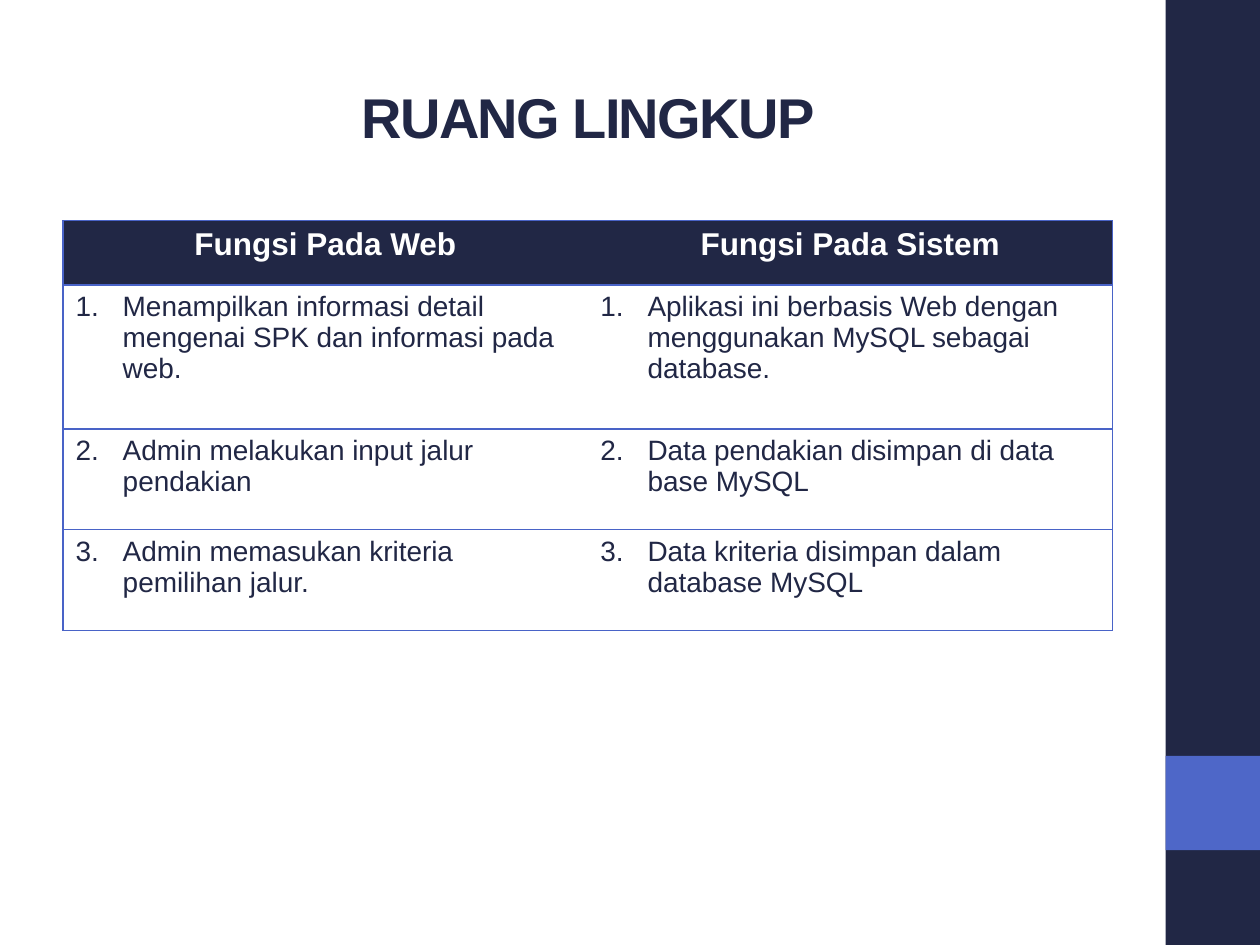
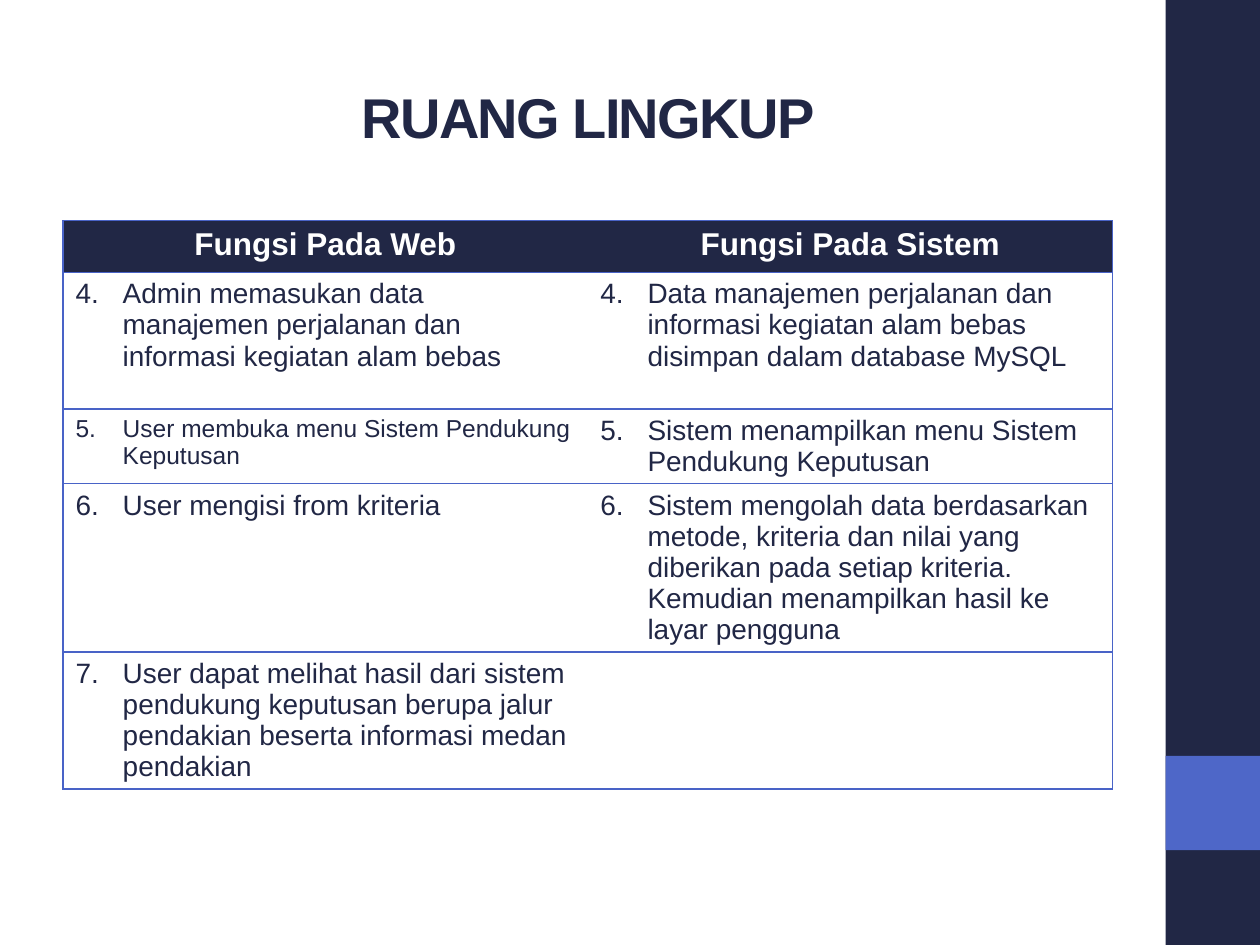
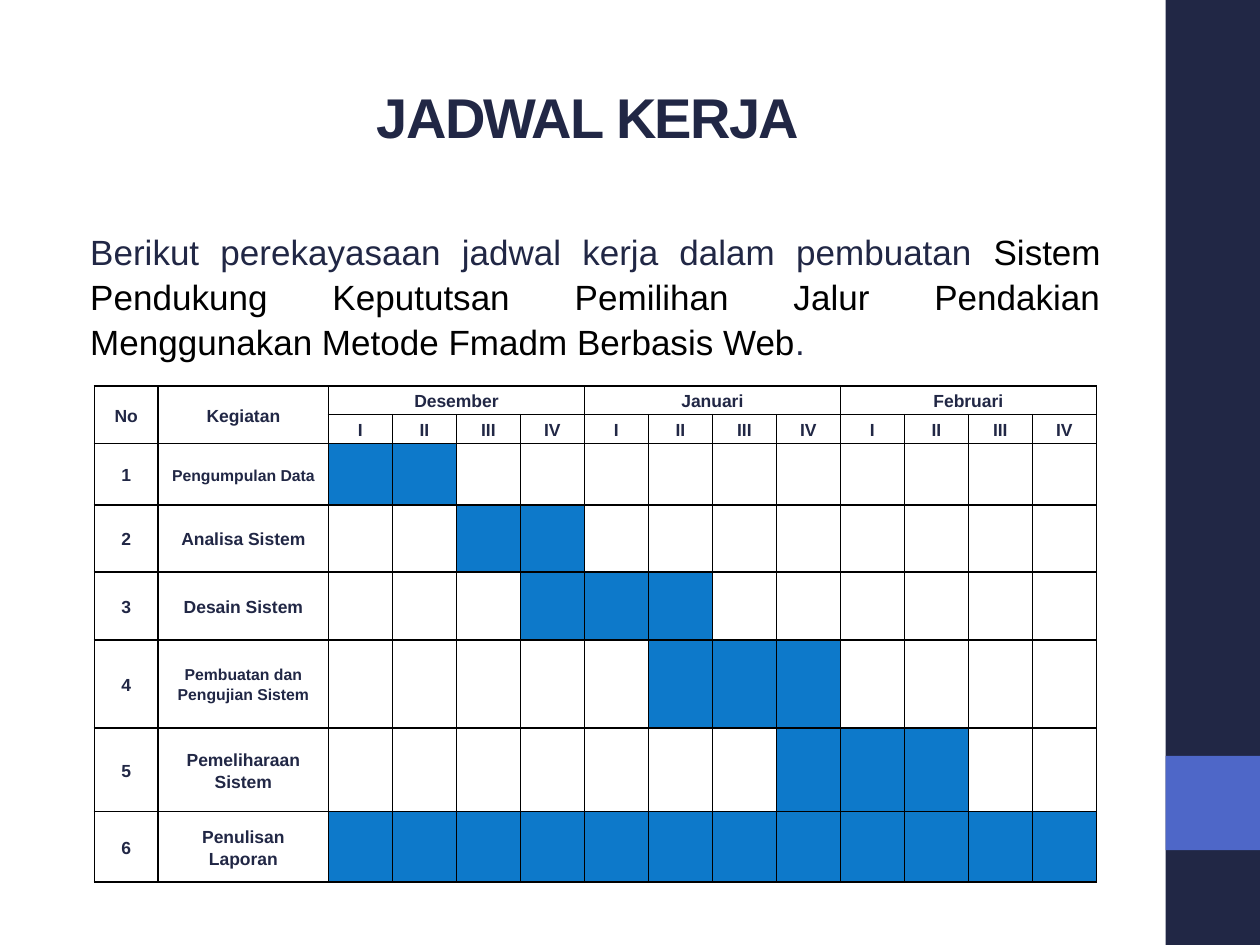
"""Builds three slides: two scope tables and a work schedule."""
from lxml import etree
from pptx import Presentation
from pptx.dml.color import RGBColor as RGB
from pptx.enum.shapes import MSO_SHAPE as SHAPE
from pptx.enum.text import MSO_ANCHOR as ANCHOR, PP_ALIGN as ALIGN
from pptx.oxml.ns import qn
from pptx.util import Cm, Pt

COLORS = {"navy": "212745", "blue": "4E67C8", "rule": "4963C7", "bar": "0D79CA",
          "white": "FFFFFF", "black": "000000"}
C = {name: RGB.from_string(value) for name, value in COLORS.items()}
FONT = "Arial"
PLAIN_STYLE = "{2D5ABB26-0587-4C30-8999-92F81FD0307C}"
INDENT = Cm(0.95)


def format_text(p, size, color, bold=False):
    """Give every run of a paragraph the same font."""
    for r in p.runs:
        r.font.name, r.font.size, r.font.bold = FONT, Pt(size), bold
        r.font.color.rgb = C[color]


def add_grid(s, left, top, widths, heights, rule, inner):
    """Add a plain table with ruled cells and return it."""
    frame = s.shapes.add_table(len(heights), len(widths), Cm(left), Cm(top),
                               Cm(sum(widths)), Cm(sum(heights)))
    frame.element.find(".//" + qn("a:tableStyleId")).text = PLAIN_STYLE
    table = frame.table
    table.first_row = table.horz_banding = False
    for column, width in zip(table.columns, widths):
        column.width = Cm(width)
    for row, height in zip(table.rows, heights):
        row.height = Cm(height)
        for i, cell in enumerate(row.cells):
            tcPr = cell._tc.get_or_add_tcPr()
            sides = {"L": inner or i == 0, "R": inner or i == len(widths) - 1,
                     "T": True, "B": True}
            for side in (name for name, ruled in sides.items() if ruled):
                ln = etree.SubElement(tcPr, qn("a:ln" + side), w=str(Pt(1)))
                fill = etree.SubElement(ln, qn("a:solidFill"))
                etree.SubElement(fill, qn("a:srgbClr"), val=COLORS[rule])
            cell.fill.solid()
            cell.fill.fore_color.rgb = C["white"]
    return table


prs = Presentation()
prs.slide_width, prs.slide_height = Cm(25.4), Cm(19.05)
layout = prs.slide_layouts[5]
for ph in list(layout.placeholders):
    if ph.placeholder_format.idx != 0:
        ph.element.getparent().remove(ph.element)

slides = []
for title in ("RUANG LINGKUP", "RUANG LINGKUP", "JADWAL KERJA"):
    s = prs.slides.add_slide(layout)
    sp = s.shapes.title
    sp.left, sp.top, sp.width, sp.height = Cm(1.27), Cm(0.76), Cm(21.17), Cm(3.18)
    tf = sp.text_frame
    tf.text = title
    tf.vertical_anchor = ANCHOR.MIDDLE
    p = tf.paragraphs[0]
    p.alignment = ALIGN.CENTER
    format_text(p, 32, "navy", True)
    p.runs[0].font._element.set("spc", "-100")
    slides.append(s)

for top, height, color in ((0, 19.05, "navy"), (15.24, 1.9, "blue")):
    band = slides[0].shapes.add_shape(SHAPE.RECTANGLE, Cm(23.5), Cm(top), Cm(1.9), Cm(height))
    band.shadow.inherit = False
    band.fill.solid()
    band.fill.fore_color.rgb = C[color]
    band.line.fill.background()
    layout.shapes.element.append(band.element)

scopes = [
    (1, [1.3, 2.9, 2.03, 2.03], [
        ("Menampilkan informasi detail mengenai SPK dan informasi pada web.",
         "Aplikasi ini berbasis Web dengan menggunakan MySQL sebagai database."),
        ("Admin melakukan input jalur pendakian",
         "Data pendakian disimpan di data base MySQL"),
        ("Admin memasukan kriteria pemilihan jalur.",
         "Data kriteria disimpan dalam database MySQL")]),
    (4, [1.04, 2.75, 1.51, 3.39, 2.76], [
        ("Admin memasukan data manajemen perjalanan dan informasi kegiatan alam bebas",
         "Data manajemen perjalanan dan informasi kegiatan alam bebas disimpan dalam "
         "database MySQL"),
        ("User membuka menu Sistem Pendukung Keputusan",
         "Sistem menampilkan menu Sistem Pendukung Keputusan"),
        ("User mengisi from kriteria",
         "Sistem mengolah data berdasarkan metode, kriteria dan nilai yang diberikan pada "
         "setiap kriteria. Kemudian menampilkan hasil ke layar pengguna"),
        ("User dapat melihat hasil dari sistem pendukung keputusan berupa jalur pendakian "
         "beserta informasi medan pendakian", "")]),
]
for s, (start, heights, functions) in zip(slides, scopes):
    table = add_grid(s, 1.27, 4.45, [10.58, 10.58], heights, "rule", False)
    for cell, heading in zip(table.rows[0].cells, ("Fungsi Pada Web", "Fungsi Pada Sistem")):
        cell.fill.fore_color.rgb = C["navy"]
        cell.text_frame.text = heading
        p = cell.text_frame.paragraphs[0]
        p.alignment = ALIGN.CENTER
        format_text(p, 18, "white", True)
    for i, texts in enumerate(functions):
        for j, text in enumerate(texts):
            if not text:
                continue
            tf = table.cell(i + 1, j).text_frame
            tf.text = text
            p = tf.paragraphs[0]
            pPr = p._p.get_or_add_pPr()
            pPr.set("marL", str(INDENT))
            pPr.set("indent", str(-INDENT))
            etree.SubElement(pPr, qn("a:buFont"), typeface="+mj-lt")
            etree.SubElement(pPr, qn("a:buAutoNum"), type="arabicPeriod", startAt=str(start + i))
            format_text(p, 14 if text.startswith("User membuka") else 16, "navy")

s = slides[2]
tf = s.shapes.add_textbox(Cm(1.27), Cm(4.45), Cm(21.17), Cm(3.2)).text_frame
tf.word_wrap = True
p = tf.paragraphs[0]
p.alignment, p.line_spacing = ALIGN.JUSTIFY, 1.08
p._p.get_or_add_pPr().set("marL", str(Cm(0.3)))
for text, color in (
        ("Berikut perekayasaan jadwal kerja dalam pembuatan ", "navy"),
        ("Sistem Pendukung Kepututsan Pemilihan Jalur Pendakian "
         "Menggunakan Metode Fmadm Berbasis Web", "black"),
        (".", "navy")):
    r = p.add_run()
    r.text = text
    r.font.name, r.font.size, r.font.color.rgb = FONT, Pt(20), C[color]

months = ["Desember", "Januari", "Februari"]
weeks = ["I", "II", "III", "IV"]
tasks = [("Pengumpulan Data", 1, 2, 9), ("Analisa Sistem", 3, 4, 10),
         ("Desain Sistem", 4, 6, 10), ("Pembuatan dan Pengujian Sistem", 6, 8, 9),
         ("Pemeliharaan Sistem", 8, 10, 10), ("Penulisan Laporan", 1, 12, 10)]
table = add_grid(s, 1.9, 7.78, [1.29, 3.43] + [1.29] * 12,
                 [0.58, 0.58, 1.24, 1.35, 1.37, 1.78, 1.68, 1.42], "black", True)

labels = [(0, 0, "No", 10), (0, 1, "Kegiatan", 10)]
for j in range(2):
    table.cell(0, j).merge(table.cell(1, j))
for i, month in enumerate(months):
    first = 2 + i * len(weeks)
    table.cell(0, first).merge(table.cell(0, first + len(weeks) - 1))
    labels.append((0, first, month, 10))
    labels += [(1, first + j, week, 10) for j, week in enumerate(weeks)]
for i, (task, start, end, size) in enumerate(tasks, 1):
    labels += [(i + 1, 0, str(i), 10), (i + 1, 1, task, size)]
    for week in range(start, end + 1):
        table.cell(i + 1, week + 1).fill.fore_color.rgb = C["bar"]

for row, column, text, size in labels:
    cell = table.cell(row, column)
    cell.vertical_anchor = ANCHOR.MIDDLE
    cell.margin_left = cell.margin_right = Cm(0.18)
    cell.margin_top = cell.margin_bottom = 0
    cell.text_frame.text = text
    p = cell.text_frame.paragraphs[0]
    p.alignment, p.line_spacing = ALIGN.CENTER, 1.15
    format_text(p, size, "navy", True)

prs.save("out.pptx")
